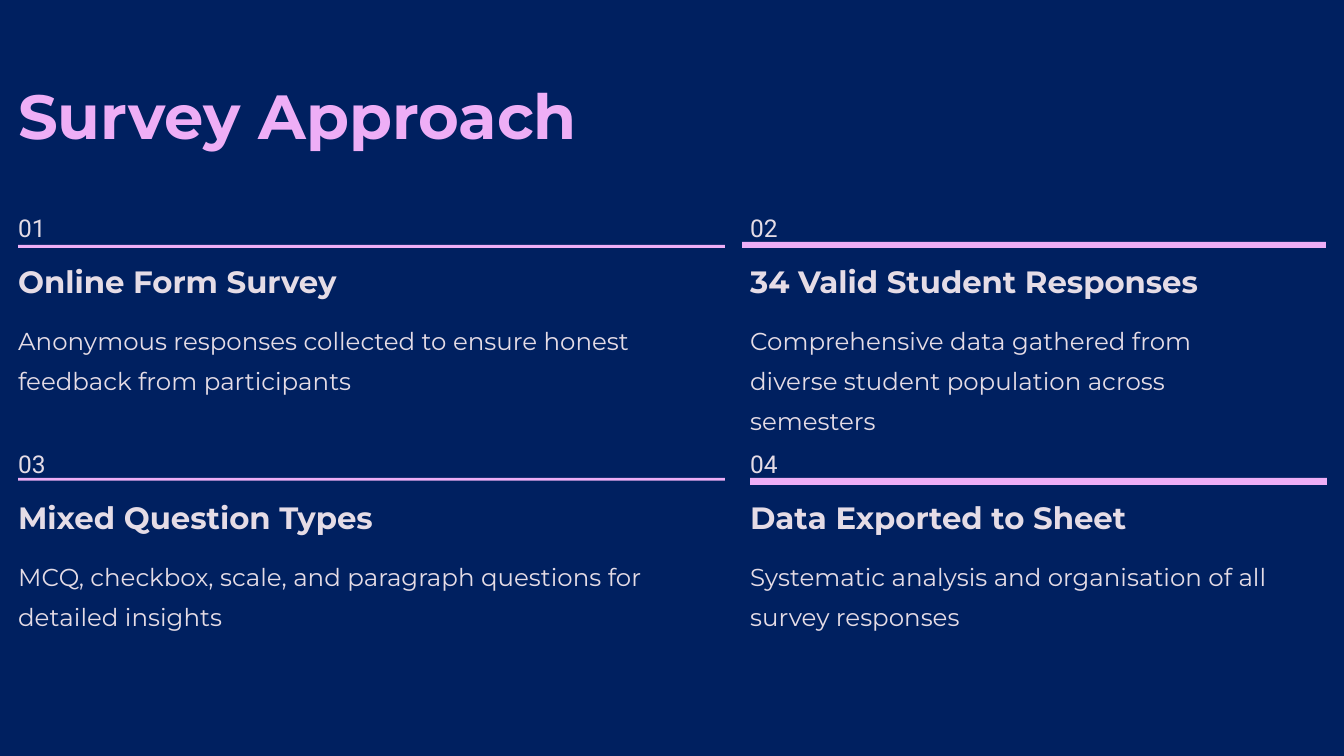
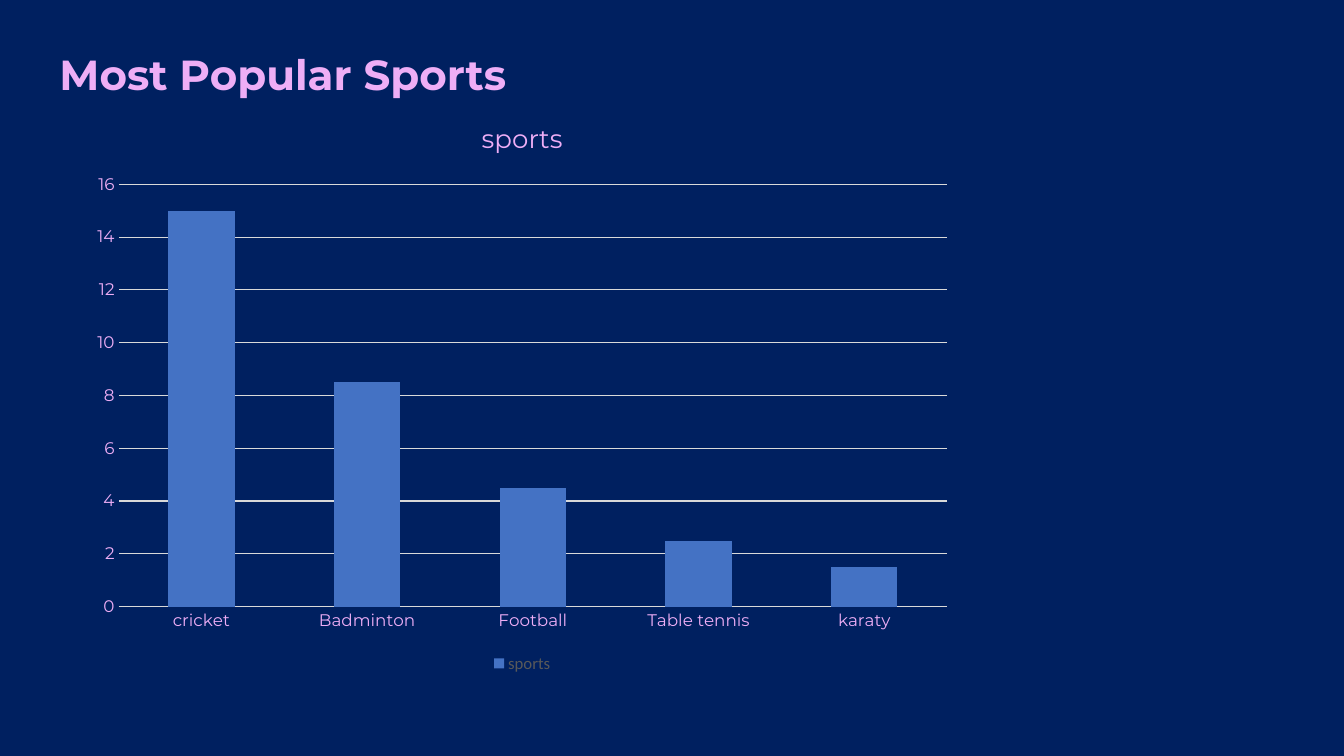
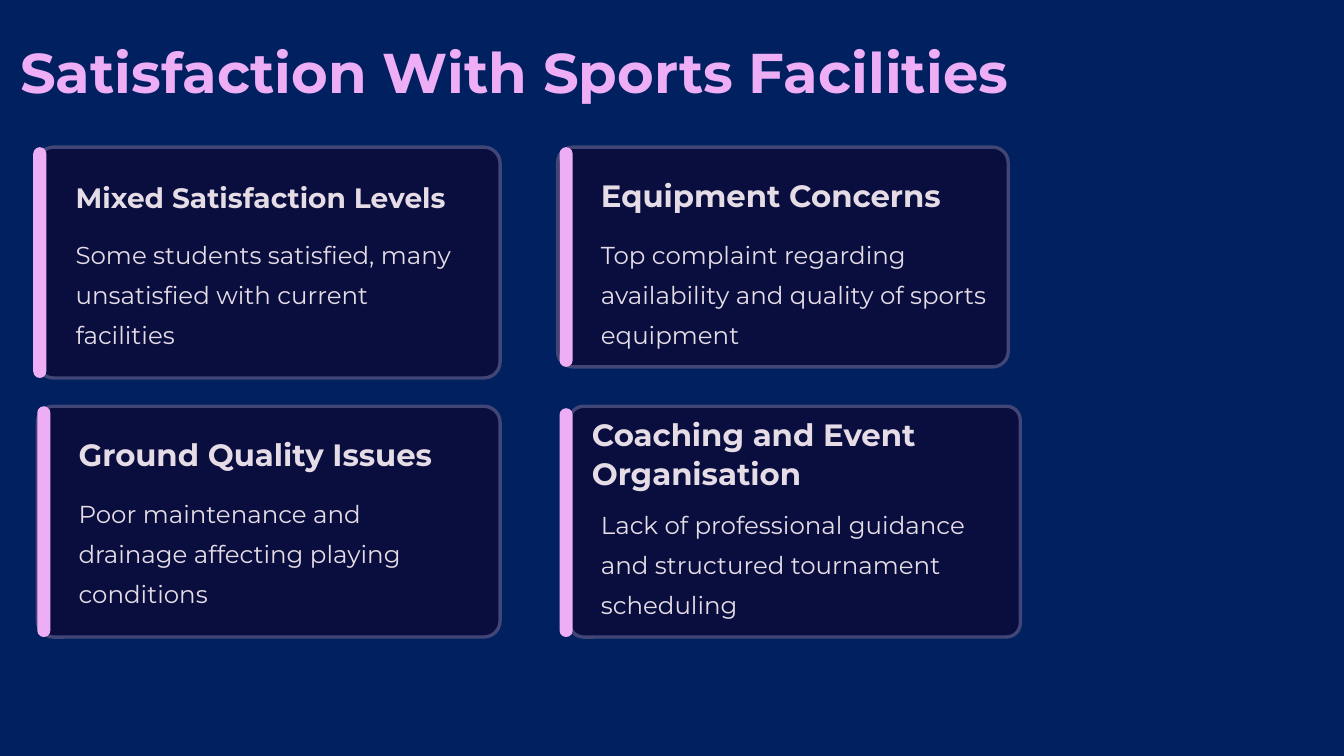
import dataclasses

import pptx
import pptx.chart.data
import pptx.dml.color
import pptx.enum.chart
import pptx.enum.shapes
import pptx.util

WIDTH, HEIGHT = 13.33, 7.5
NAVY, PANEL, OUTLINE = "002060", "090E3F", "414677"
PINK, PALE, GRID, BLUE, GREY = "EEAEF6", "E5DCE6", "D9D9D9", "4472C4", "595959"
FONT, NUMBER_FONT, LEGEND_FONT = "Montserrat", "Roboto", "Calibri"

# Roles of text shared by the slides
TITLE = dict(color=PINK, bold=True)
HEADING = dict(size=22, spacing=27.5, bold=True)
BODY = dict(size=17.5, spacing=28.5)
NUMBER = dict(BODY, font=NUMBER_FONT)


def color_of(code):
    return pptx.dml.color.RGBColor.from_string(code)


def lengths(*values):
    return [pptx.util.Inches(value) for value in values]


def set_fill(fill, code):
    fill.solid()
    fill.fore_color.rgb = color_of(code)


def set_font(font, size, color, name=FONT, bold=False):
    font.size = pptx.util.Pt(size)
    font.name = name
    font.bold = bold
    font.color.rgb = color_of(color)


def set_line(line, color, points):
    line.color.rgb = color_of(color)
    line.width = pptx.util.Pt(points)


def add_text(page, text, left, top, width, height, *, size, spacing,
             color=PALE, font=FONT, bold=False):
    box = page.shapes.add_textbox(*lengths(left, top, width, height))
    frame = box.text_frame
    frame.word_wrap = True
    frame.margin_left = frame.margin_right = 0
    frame.margin_top = frame.margin_bottom = 0
    para = frame.paragraphs[0]
    para.line_spacing = pptx.util.Pt(spacing)
    span = para.add_run()
    span.text = text
    set_font(span.font, size, color, font, bold)


def add_block(page, left, top, width, height, fill, corner=None, outline=None):
    kinds = pptx.enum.shapes.MSO_SHAPE
    kind = kinds.RECTANGLE if corner is None else kinds.ROUNDED_RECTANGLE
    block = page.shapes.add_shape(kind, *lengths(left, top, width, height))
    block.shadow.inherit = False
    if corner is not None:
        block.adjustments[0] = corner
    set_fill(block.fill, fill)
    if outline:
        set_line(block.line, outline, 2.4)
    else:
        block.line.fill.background()


def add_page(deck):
    return deck.slides.add_slide(deck.slide_layouts[6])


# Survey approach: numbered steps in two columns and two rows
STEP_COLUMNS = (0.18, 7.44)
STEP_TOP, STEP_PITCH = 2.01, 2.34


@dataclasses.dataclass
class Step:
    heading: str
    body: str
    body_width: float
    rule: tuple  # left, top, width, height


STEPS = (
    Step("Online Form Survey",
         "Anonymous responses collected to ensure honest feedback from participants",
         7.01, (0.18, 2.43, 7.01, 0.03)),
    Step("34 Valid Student Responses",
         "Comprehensive data gathered from diverse student population across semesters",
         5.03, (7.36, 2.4, 5.79, 0.06)),
    Step("Mixed Question Types",
         "MCQ, checkbox, scale, and paragraph questions for detailed insights",
         7.01, (0.18, 4.74, 7.01, 0.03)),
    Step("Data Exported to Sheet",
         "Systematic analysis and organisation of all survey responses",
         5.72, (7.44, 4.74, 5.72, 0.07)),
)


def add_step(page, index, step):
    row, column = divmod(index, len(STEP_COLUMNS))
    left, top = STEP_COLUMNS[column], STEP_TOP + row * STEP_PITCH
    add_text(page, f"{index + 1:02d}", left, top, 0.5, 0.31, **NUMBER)
    add_block(page, *step.rule, PINK)
    add_text(page, step.heading, left, top + 0.58, 5.5, 0.39, **HEADING)
    add_text(page, step.body, left, top + 1.12, step.body_width, 0.79, **BODY)


def build_approach(deck):
    page = add_page(deck)
    add_text(page, "Survey Approach", 0.18, 0.74, 7, 0.78,
             size=44.5, spacing=55.5, **TITLE)
    for index, step in enumerate(STEPS):
        add_step(page, index, step)


# Popular sports: one column chart
SPORTS = {"cricket": 15, "Badminton": 8.5, "Football": 4.5,
          "Table tennis": 2.5, "karaty": 1.5}


def add_column_chart(page, name, values, left, top, width, height):
    enums = pptx.enum.chart
    data = pptx.chart.data.CategoryChartData()
    data.categories = list(values)
    data.add_series(name, list(values.values()))
    chart = page.shapes.add_chart(enums.XL_CHART_TYPE.COLUMN_STACKED,
                                  *lengths(left, top, width, height), data).chart
    set_font(chart.font, 10, "000000", LEGEND_FONT)

    chart.has_title = True
    span = chart.chart_title.text_frame.paragraphs[0].add_run()
    span.text = name
    set_font(span.font, 18.6, PINK)
    chart.chart_title.include_in_layout = False

    chart.has_legend = True
    chart.legend.position = enums.XL_LEGEND_POSITION.BOTTOM
    chart.legend.include_in_layout = False
    set_font(chart.legend.font, 12, GREY, LEGEND_FONT)

    for axis in (chart.category_axis, chart.value_axis):
        axis.major_tick_mark = axis.minor_tick_mark = enums.XL_TICK_MARK.NONE
        set_font(axis.tick_labels.font, 12, PINK)
    set_line(chart.category_axis.format.line, GRID, 0.75)
    scale = chart.value_axis
    scale.minimum_scale, scale.maximum_scale, scale.major_unit = 0, 16, 2
    scale.format.line.fill.background()
    scale.has_major_gridlines = True
    set_line(scale.major_gridlines.format.line, GRID, 0.75)

    plot = chart.plots[0]
    plot.gap_width, plot.overlap = 150, 100
    plot.vary_by_categories = False
    set_fill(plot.series[0].format.fill, BLUE)


def build_sports(deck):
    page = add_page(deck)
    add_text(page, "Most Popular Sports", 0.59, 0.46, 6, 0.52,
             size=30, spacing=37.5, **TITLE)
    add_column_chart(page, "sports", SPORTS, 0.79, 0.98, 8.78, 5.74)


# Satisfaction: cards with an accent bar, in two rows
CARD_ROWS = (1.46, 4.03)
CARD_HEIGHT, BAR_WIDTH = 2.29, 0.13


@dataclasses.dataclass
class Card:
    heading: str
    body: str
    row: int
    left: float
    width: float
    bar_left: float
    text_left: float
    height: float = CARD_HEIGHT
    corner: float = 0.07
    bar_drop: float = 0
    heading_size: float = 22
    heading_shift: tuple = (0, 0.28)
    heading_width: float = 4.1
    body_drop: float = 0.82
    body_width: float = 3.93


CARDS = (
    Card("Mixed Satisfaction Levels",
         "Some students satisfied, many unsatisfied with current facilities",
         0, 0.37, 4.59, 0.33, 0.75, heading_size=20),
    Card("Equipment Concerns",
         "Top complaint regarding availability and quality of sports equipment",
         0, 5.53, 4.47, 5.55, 5.96, height=2.18),
    Card("Ground Quality Issues",
         "Poor maintenance and drainage affecting playing conditions",
         1, 0.37, 4.59, 0.37, 0.78),
    Card("Coaching and Event Organisation",
         "Lack of professional guidance and structured tournament scheduling",
         1, 5.65, 4.47, 5.55, 5.96, corner=0.06, bar_drop=0.02,
         heading_shift=(-0.09, 0.08), heading_width=3.82,
         body_drop=0.93, body_width=3.82),
)


def add_card(page, card):
    top = CARD_ROWS[card.row]
    add_block(page, card.left, top, card.width, card.height, PANEL,
              corner=card.corner, outline=OUTLINE)
    add_block(page, card.bar_left, top + card.bar_drop, BAR_WIDTH,
              card.height - card.bar_drop, PINK, corner=0.5)
    across, down = card.heading_shift
    add_text(page, card.heading, card.text_left + across, top + down,
             card.heading_width, 0.39, **dict(HEADING, size=card.heading_size))
    add_text(page, card.body, card.text_left, top + card.body_drop,
             card.body_width, 1.19, **BODY)


def build_satisfaction(deck):
    page = add_page(deck)
    add_text(page, "Satisfaction With Sports Facilities", 0.2, 0.27, 11, 0.78,
             size=40, spacing=55.5, **TITLE)
    for card in CARDS:
        add_card(page, card)


def main():
    deck = pptx.Presentation()
    deck.slide_width, deck.slide_height = lengths(WIDTH, HEIGHT)
    set_fill(deck.slide_master.background.fill, NAVY)
    build_approach(deck)
    build_sports(deck)
    build_satisfaction(deck)
    deck.save("out.pptx")


if __name__ == "__main__":
    main()
